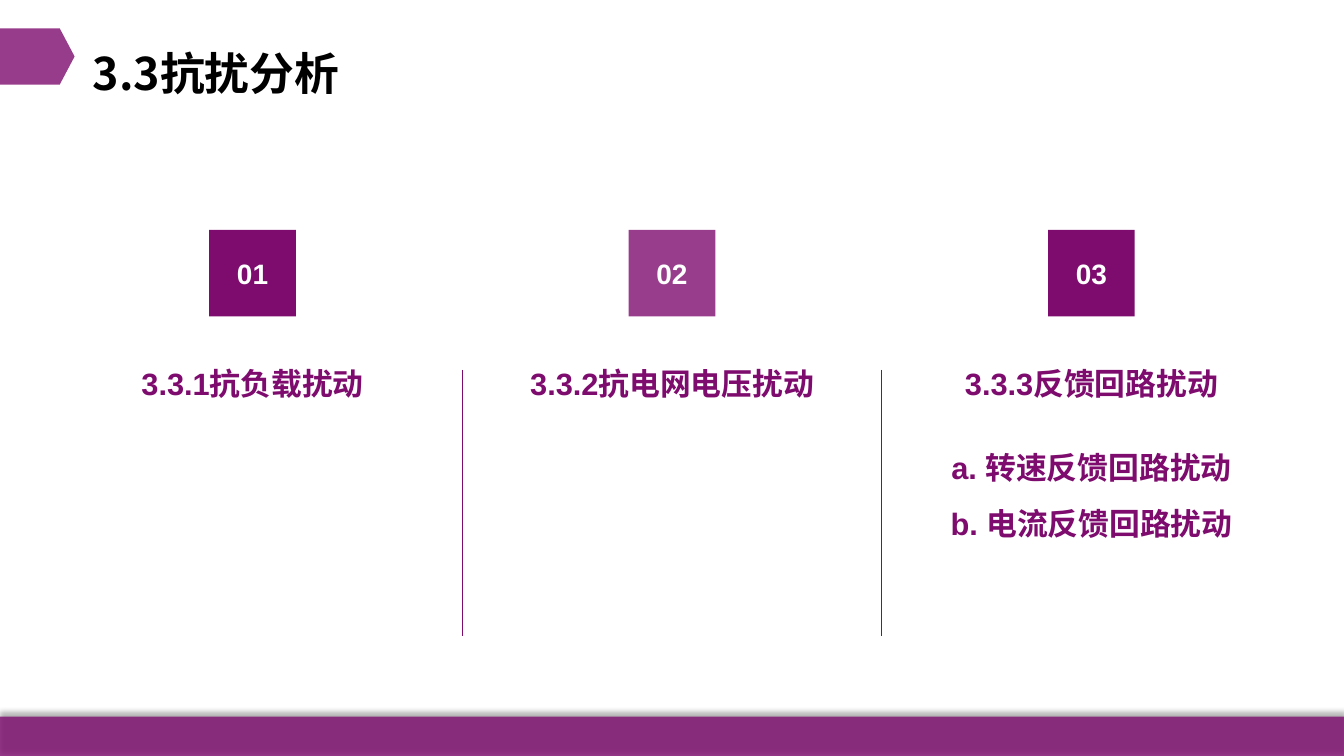
from lxml.etree import SubElement
from pptx import Presentation
from pptx.dml.color import RGBColor
from pptx.enum.shapes import MSO_CONNECTOR, MSO_SHAPE
from pptx.enum.text import MSO_ANCHOR, PP_ALIGN
from pptx.oxml.ns import qn
from pptx.util import Inches, Pt

COLORS = {"purple": "7E0C6E", "light": "983D8B", "white": "FFFFFF", "black": "000000"}
TOPICS = [
    ("01", "light_off", "3.3.1抗负载扰动", []),
    ("02", "light_on", "3.3.2抗电网电压扰动", []),
    ("03", "light_off", "3.3.3反馈回路扰动", ["a. 转速反馈回路扰动", "b. 电流反馈回路扰动"]),
]
FILLS = {"light_off": "purple", "light_on": "light"}
CJK_FONT = "Noto Sans CJK SC"


def rgb(name):
    return RGBColor.from_string(COLORS[name])


def add_block(s, preset, box, color, alpha=None):
    sp = s.shapes.add_shape(preset, *map(Inches, box))
    sp.shadow.inherit = False
    sp.fill.solid()
    sp.fill.fore_color.rgb = rgb(color)
    sp.line.fill.background()
    if alpha:
        fill = sp._element.spPr.find(qn("a:solidFill"))
        SubElement(fill[0], qn("a:alpha"), val=str(alpha * 1000))
    return sp


def write(sp, lines, size, color, font="Arial", align=PP_ALIGN.CENTER,
          anchor=MSO_ANCHOR.MIDDLE, spacing=None, wrap=True, margins=(0, 0)):
    tf = sp.text_frame
    tf.word_wrap = wrap
    tf.vertical_anchor = anchor
    tf.margin_left = tf.margin_right = Inches(margins[0])
    tf.margin_top = tf.margin_bottom = Inches(margins[1])
    tf.text = "\n".join(lines)
    for p in tf.paragraphs:
        p.alignment = align
        if spacing:
            p.line_spacing = spacing
        p.font.name = font
        p.font.size = Pt(size)
        p.font.bold = True
        p.font.color.rgb = rgb(color)
        for r in p.runs:
            SubElement(r._r.get_or_add_rPr(), qn("a:ea"), typeface=CJK_FONT)


def add_text(s, box, lines, size, color, **style):
    write(s.shapes.add_textbox(*map(Inches, box)), lines, size, color, **style)


def add_header(s, x, y, w, h):
    tab_w, tab_h = 0.56, 0.74
    tab = add_block(s, MSO_SHAPE.FLOWCHART_OFFPAGE_CONNECTOR,
                    (x + (tab_h - tab_w) / 2, y + (tab_w - tab_h) / 2 + 0.07, tab_w, tab_h),
                    "purple", 80)
    tab.rotation = 270
    add_text(s, (x + 0.82, y, w - 1.52, h), ["3.3抗扰分析"], 32, "black", font=CJK_FONT,
             align=PP_ALIGN.LEFT, spacing=1.3, margins=(0.1, 0.05))


def add_footer(s, x, y, w, h):
    bar = add_block(s, MSO_SHAPE.RECTANGLE, (x, y, w, h), "purple", 80)
    effects = bar._element.spPr.find(qn("a:effectLst"))
    shadow = SubElement(effects, qn("a:outerShdw"), blurRad=str(Pt(4)), dist=str(Pt(3)),
                        dir="16200000", algn="b", rotWithShape="0")
    color = SubElement(shadow, qn("a:srgbClr"), val=COLORS["black"])
    SubElement(color, qn("a:alpha"), val="40000")


def add_topic(s, x, y, w, number, fill, heading, items):
    side = 0.86
    badge = add_block(s, MSO_SHAPE.RECTANGLE, (x + (w - side) / 2, y, side, side), fill)
    write(badge, [number], 20, "white", wrap=False)
    add_text(s, (x, y + 1.26, w, 0.44), [heading], 22, "purple", anchor=MSO_ANCHOR.BOTTOM)
    if items:
        add_text(s, (x, y + 1.99, w, 2.09), items, 22, "purple",
                 anchor=MSO_ANCHOR.TOP, spacing=1.5)


def add_divider(s, x, y, h):
    line = s.shapes.add_connector(MSO_CONNECTOR.STRAIGHT, *map(Inches, (x, y, x, y + h)))
    line.line.color.rgb = rgb("purple")
    line.line.width = Pt(0.75)
    SubElement(line._element.spPr, qn("a:effectLst"))


def add_topics(s, x, y, w, pitch):
    for i, (number, shade, heading, items) in enumerate(TOPICS):
        left = x + i * pitch
        add_topic(s, left, y, w, number, FILLS[shade], heading, items)
        if i:
            add_divider(s, left - (pitch - w) / 2, y + 1.39, 2.64)


def main():
    prs = Presentation()
    prs.slide_width, prs.slide_height = Inches(13.33), Inches(7.5)
    s = prs.slides.add_slide(prs.slide_layouts[6])
    add_header(s, 0, 0.21, 13.33, 0.87)
    add_footer(s, 0, 7.11, 13.33, 0.39)
    add_topics(s, 0.98, 2.28, 3.05, 4.16)
    prs.save("out.pptx")


if __name__ == "__main__":
    main()
